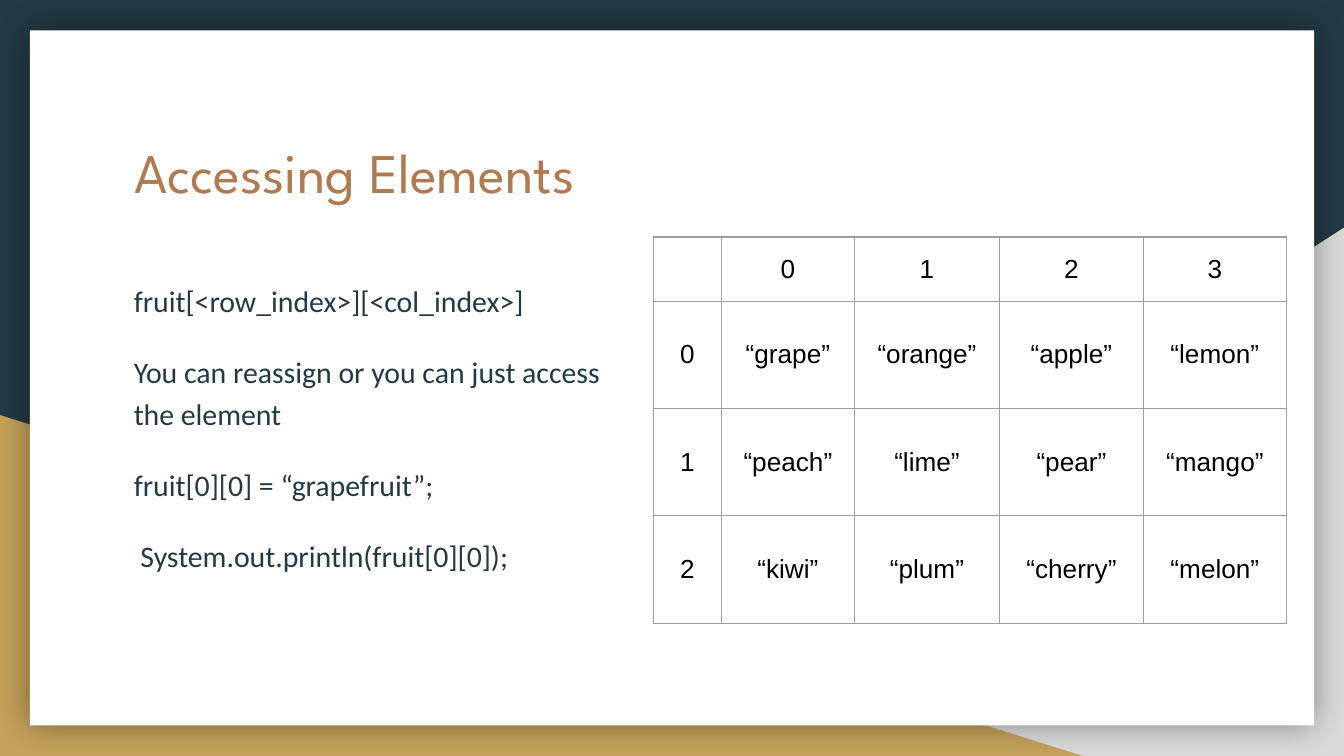
from lxml import etree
from pptx import Presentation
from pptx.dml.color import RGBColor
from pptx.enum.shapes import MSO_SHAPE
from pptx.enum.text import MSO_ANCHOR, MSO_AUTO_SIZE, PP_ALIGN
from pptx.oxml import parse_xml
from pptx.oxml.ns import nsdecls, qn
from pptx.util import Pt

RECT = MSO_SHAPE.RECTANGLE
WEDGE = MSO_SHAPE.RIGHT_TRIANGLE
TOP, MIDDLE = MSO_ANCHOR.TOP, MSO_ANCHOR.MIDDLE
LEFT, CENTER = PP_ALIGN.LEFT, PP_ALIGN.CENTER
NO_FIT = MSO_AUTO_SIZE.NONE

NAVY = RGBColor(0x23, 0x3A, 0x44)
GOLD = RGBColor(0xC4, 0xA1, 0x5A)
SILVER = RGBColor(0xD9, 0xD9, 0xD9)
WHITE = RGBColor(0xFF, 0xFF, 0xFF)
BROWN = RGBColor(0xAF, 0x7B, 0x51)
BLACK = RGBColor(0, 0, 0)
GRAY = RGBColor(0x9E, 0x9E, 0x9E)

WIDTH, HEIGHT = 720, 405
INSET = 7.2

NOTES = [
    "fruit[<row_index>][<col_index>]",
    "You can reassign or you can just access the element",
    "fruit[0][0] = “grapefruit”;",
    " System.out.println(fruit[0][0]);",
]
FRUIT = [
    ["grape", "orange", "apple", "lemon"],
    ["peach", "lime", "pear", "mango"],
    ["kiwi", "plum", "cherry", "melon"],
]
COLS = [36.5, 71.3, 77.7, 77.1, 76.6]
ROWS = [34.4, 57.5, 57.5, 57.5]


def style(para, name, size, color, align=LEFT):
    para.alignment = align
    para.font.name = name
    para.font.size = Pt(size)
    para.font.color.rgb = color


def pad(item):
    item.margin_left = item.margin_right = Pt(INSET)
    item.margin_top = item.margin_bottom = Pt(INSET)


def add_block(slide, kind, box, color):
    shape = slide.shapes.add_shape(kind, *map(Pt, box))
    shape.shadow.inherit = False
    shape.fill.solid()
    shape.fill.fore_color.rgb = color
    shape.line.fill.background()
    return shape


def add_shadow(shape):
    effects = shape._element.spPr.find(qn("a:effectLst"))
    effects.append(parse_xml(
        f'<a:outerShdw {nsdecls("a")} blurRad="{Pt(18)}" dist="0" dir="0"'
        ' algn="ctr" rotWithShape="0"><a:srgbClr val="000000">'
        '<a:alpha val="40000"/></a:srgbClr></a:outerShdw>'))


def add_backdrop(slide, box):
    left, top, width, height = box
    slide.background.fill.solid()
    slide.background.fill.fore_color.rgb = NAVY
    right, bottom = left + width, top + height
    gray = add_block(slide, WEDGE, (right - 438, bottom - 283, 438, 283), SILVER)
    gray._element.spPr.xfrm.set("flipH", "1")
    add_block(slide, WEDGE, (left, bottom - 182.6, 580, 182.6), GOLD)
    card = add_block(slide, RECT, (left + 16, top + 16.3, width - 32, height - 32.6), WHITE)
    add_shadow(card)


def add_title(slide, box, text):
    title = slide.shapes.title
    slide.shapes._spTree.append(title._element)
    title.left, title.top, title.width, title.height = map(Pt, box)
    frame = title.text_frame
    frame.text = text
    frame.auto_size = NO_FIT
    frame.vertical_anchor = TOP
    pad(frame)
    style(frame.paragraphs[0], "League Spartan", 30, BROWN)


def add_notes(slide, box, lines):
    frame = slide.shapes.add_textbox(*map(Pt, box)).text_frame
    frame.word_wrap = True
    pad(frame)
    for i, line in enumerate(lines):
        para = frame.add_paragraph() if i else frame.paragraphs[0]
        para.text = line
        para.line_spacing = 1.15
        if i:
            para.space_before = Pt(16)
        style(para, "Calibri", 16, NAVY)


def add_borders(cell):
    props = cell._tc.get_or_add_tcPr()
    for side in ("lnL", "lnR", "lnT", "lnB"):
        line = etree.SubElement(props, qn(f"a:{side}"), w=str(Pt(0.75)))
        fill = etree.SubElement(line, qn("a:solidFill"))
        etree.SubElement(fill, qn("a:srgbClr"), val=str(GRAY))


def add_grid(slide, left, top, words):
    data = [["", *map(str, range(len(words[0])))]]
    data += [[str(i), *(f"“{word}”" for word in row)] for i, row in enumerate(words)]
    table = slide.shapes.add_table(
        len(ROWS), len(COLS), Pt(left), Pt(top), Pt(sum(COLS)), Pt(sum(ROWS))).table
    table.first_row = table.horz_banding = False
    for col, width in zip(table.columns, COLS):
        col.width = Pt(width)
    for row, height, texts in zip(table.rows, ROWS, data):
        row.height = Pt(height)
        for cell, text in zip(row.cells, texts):
            cell.text = text
            cell.vertical_anchor = MIDDLE
            pad(cell)
            add_borders(cell)
            cell.fill.background()
            style(cell.text_frame.paragraphs[0], "Arial", 14, BLACK, CENTER)


def main():
    deck = Presentation()
    deck.slide_width, deck.slide_height = Pt(WIDTH), Pt(HEIGHT)
    slide = deck.slides.add_slide(deck.slide_layouts.get_by_name("Title Only"))
    add_backdrop(slide, (0, 0, WIDTH, HEIGHT))
    add_title(slide, (64.6, 66.4, 591, 75), "Accessing Elements")
    add_notes(slide, (64.6, 141.6, 280, 193), NOTES)
    add_grid(slide, 350, 127, FRUIT)
    deck.save("out.pptx")


if __name__ == "__main__":
    main()
